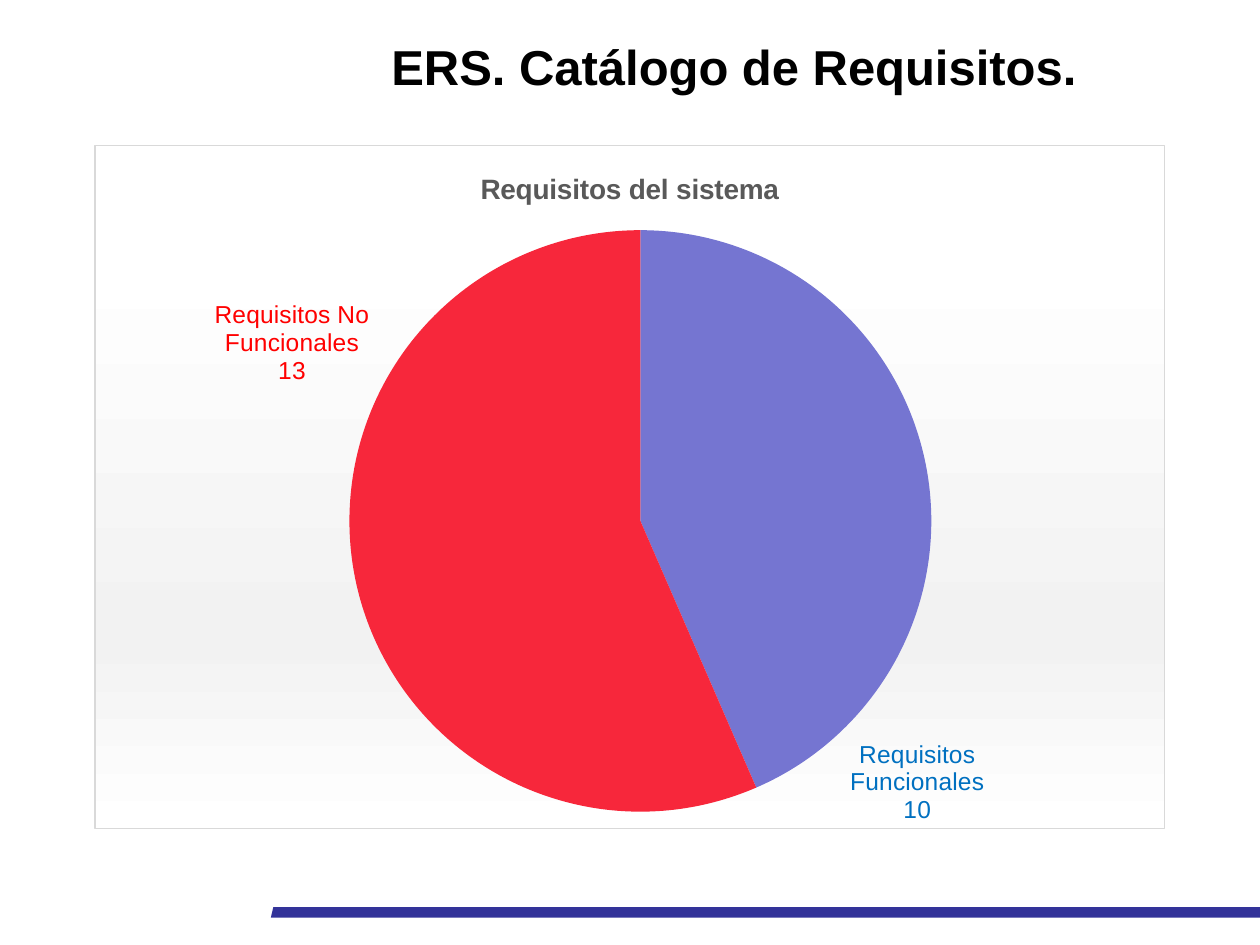
import lxml.etree
import pptx
import pptx.chart.data
import pptx.dml.color
import pptx.enum.chart
import pptx.enum.text
import pptx.oxml
import pptx.oxml.ns
import pptx.util
from pptx.util import Cm

FONT = "Arial"
NAMESPACES = pptx.oxml.ns.nsdecls("c", "a")
GRADIENT_STOPS = [(16, "FFFFFF"), (72, "F2F2F2"), (100, "FFFFFF")]
PIE_PERCENT = {"x": 23.8, "y": 12.4, "w": 54.4, "h": 85.2}
# category, value, slice colour, label colour, label shift in percent of the chart
REQUIREMENTS = [
    ("Requisitos Funcionales", 10, "7575D1", "0070C0", {"x": -7.7, "y": 53.2}),
    ("Requisitos No Funcionales", 13, "F7273B", "FF0000", {"x": 2, "y": -41}),
]


def color(value):
    return pptx.dml.color.RGBColor.from_string(value)


def apply_format(target, values):
    for name, value in values.items():
        setattr(target, name, value)


def format_font(font, size, hex_color, bold=False):
    apply_format(font, {"name": FONT, "size": pptx.util.Pt(size), "bold": bold})
    font.color.rgb = color(hex_color)


def add_footer_bar(slide, left, top, width, height):
    slant = Cm(0.05)
    builder = slide.shapes.build_freeform(left, top + height, scale=1.0)
    builder.add_line_segments([
        (left + width, top + height),
        (left + width, top),
        (left + slant, top),
    ])
    bar = builder.convert_to_shape()
    bar.shadow.inherit = False
    bar.fill.solid()
    bar.fill.fore_color.rgb = color("333399")
    bar.line.fill.background()


def add_title(slide, text, left, top, width, height):
    title = slide.shapes.title
    apply_format(title, {"left": left, "top": top, "width": width, "height": height})
    frame = title.text_frame
    frame.text = text
    apply_format(frame, {
        "word_wrap": False,
        "auto_size": pptx.enum.text.MSO_AUTO_SIZE.NONE,
        "vertical_anchor": pptx.enum.text.MSO_ANCHOR.MIDDLE,
        "margin_left": Cm(0.13), "margin_right": Cm(0.13),
        "margin_top": Cm(0.13), "margin_bottom": Cm(0.13),
    })
    paragraph = frame.paragraphs[0]
    paragraph.alignment = pptx.enum.text.PP_ALIGN.CENTER
    format_font(paragraph.runs[0].font, 28, "000000", bold=True)


def manual_layout(percents, inner=False):
    target = '<c:layoutTarget val="inner"/>' if inner else ""
    modes = '<c:xMode val="edge"/><c:yMode val="edge"/>' if inner else ""
    sizes = "".join(
        f'<c:{name} val="{percent / 100:.3f}"/>' for name, percent in percents.items())
    return pptx.oxml.parse_xml(
        f"<c:layout {NAMESPACES}><c:manualLayout>{target}{modes}{sizes}"
        "</c:manualLayout></c:layout>")


def style_chart_area(chart):
    """Give the chart area its vertical gradient and thin border."""
    stops = "".join(
        f'<a:gs pos="{position * 1000}"><a:srgbClr val="{value}"/></a:gs>'
        for position, value in GRADIENT_STOPS)
    area = pptx.oxml.parse_xml(
        f"<c:spPr {NAMESPACES}><a:gradFill><a:gsLst>{stops}</a:gsLst>"
        '<a:lin ang="5400000" scaled="0"/></a:gradFill><a:ln w="9525"><a:solidFill>'
        '<a:srgbClr val="D9D9D9"/></a:solidFill></a:ln></c:spPr>')
    chart.element.find(pptx.oxml.ns.qn("c:chart")).addnext(area)


def style_slice(point, fill_color, label_color):
    point.format.fill.solid()
    point.format.fill.fore_color.rgb = color(fill_color)
    point.format.line.fill.background()
    label = point.data_label
    format_font(label.font, 14, label_color)
    label.position = pptx.enum.chart.XL_LABEL_POSITION.OUTSIDE_END


def complete_label(label_element, shift):
    """Show category over value, moved by the given shift."""
    qn = pptx.oxml.ns.qn
    label_element.find(qn("c:showCatName")).set("val", "1")
    label_element.find(qn("c:showVal")).set("val", "1")
    lxml.etree.SubElement(label_element, qn("c:separator")).text = "\n"
    label_element.insert(1, manual_layout(shift))


def hide_leader_lines(labels_element):
    qn = pptx.oxml.ns.qn
    leader_lines = labels_element.find(qn("c:showLeaderLines"))
    if leader_lines is None:
        leader_lines = lxml.etree.SubElement(labels_element, qn("c:showLeaderLines"))
    leader_lines.set("val", "0")


def add_requirements_pie(slide, left, top, width, height):
    data = pptx.chart.data.CategoryChartData()
    data.categories = [row[0] for row in REQUIREMENTS]
    data.add_series("Series 1", [row[1] for row in REQUIREMENTS])
    chart = slide.shapes.add_chart(
        pptx.enum.chart.XL_CHART_TYPE.PIE, left, top, width, height, data).chart
    chart.has_legend = False
    format_font(chart.font, 10, "000000")
    style_chart_area(chart)

    title_frame = chart.chart_title.text_frame
    title_frame.text = "Requisitos del sistema"
    format_font(title_frame.paragraphs[0].runs[0].font, 16, "595959", bold=True)

    plot = chart.plots[0]
    plot.vary_by_categories = True
    qn = pptx.oxml.ns.qn
    plot_area = chart.element.find(".//" + qn("c:plotArea"))
    for layout in plot_area.findall(qn("c:layout")):
        plot_area.remove(layout)
    plot_area.insert(0, manual_layout(PIE_PERCENT, inner=True))

    series = plot.series[0]
    for index, (_, _, fill_color, label_color, _) in enumerate(REQUIREMENTS):
        style_slice(series.points[index], fill_color, label_color)
    labels = list(plot_area.iter(qn("c:dLbl")))
    for label_element, row in zip(labels, REQUIREMENTS):
        complete_label(label_element, row[4])
    hide_leader_lines(labels[0].getparent())


def main():
    presentation = pptx.Presentation()
    presentation.slide_width = Cm(25.4)
    presentation.slide_height = Cm(19.05)
    slide = presentation.slides.add_slide(presentation.slide_layouts[5])
    add_footer_bar(slide, Cm(5.46), Cm(18.29), Cm(19.94), Cm(0.21))
    add_title(slide, "ERS. Catálogo de Requisitos.", Cm(7.29), Cm(0.54), Cm(15.01), Cm(1.57))
    add_requirements_pie(slide, Cm(1.9), Cm(2.92), Cm(21.59), Cm(13.79))
    presentation.save("out.pptx")


if __name__ == "__main__":
    main()
